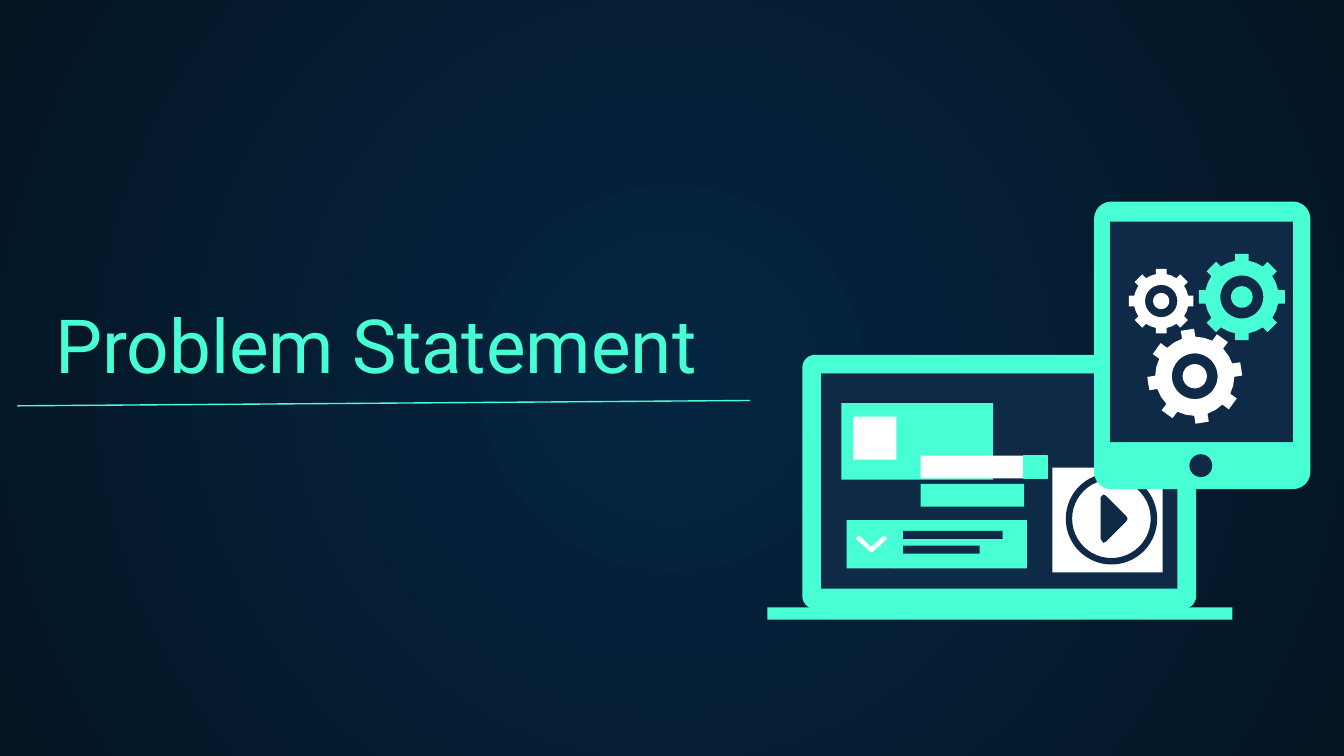
import math

import pptx
import pptx.dml.color
import pptx.enum.shapes
import pptx.enum.text
import pptx.oxml
import pptx.oxml.ns
import pptx.util

Inches = pptx.util.Inches
SHAPE = pptx.enum.shapes.MSO_SHAPE
MINT, NAVY, WHITE = "48FFD5", "0E2A47", "FFFFFF"


def color(value):
    return pptx.dml.color.RGBColor.from_string(value)


def ring(radius, steps=48):
    """Points of a circle around the origin; negative steps reverse the direction."""
    return [(radius * math.cos(2 * math.pi * i / steps),
             radius * math.sin(2 * math.pi * i / steps)) for i in range(abs(steps))]


class Slide:
    font = "Roboto"

    def __init__(self, deck):
        self.page = deck.slides.add_slide(deck.slide_layouts[5])

    def background(self, center, edge):
        fill = self.page.background.fill
        fill.gradient()
        for stop, value in zip(fill.gradient_stops, (center, edge)):
            stop.color.rgb = color(value)
        linear = self.page.element.find(".//" + pptx.oxml.ns.qn("a:lin"))
        radial = pptx.oxml.parse_xml(
            f'<a:path {pptx.oxml.ns.nsdecls("a")} path="circle">'
            '<a:fillToRect l="50000" t="50000" r="50000" b="50000"/></a:path>')
        linear.getparent().replace(linear, radial)

    def title(self, text, x, y, width, height, size):
        box = self.page.shapes.title
        box.left, box.top = Inches(x), Inches(y)
        box.width, box.height = Inches(width), Inches(height)
        frame = box.text_frame
        frame.text = text
        frame.word_wrap = True
        frame.auto_size = pptx.enum.text.MSO_AUTO_SIZE.NONE
        frame.vertical_anchor = pptx.enum.text.MSO_ANCHOR.BOTTOM
        frame.margin_left = frame.margin_right = Inches(0.1)
        frame.margin_top = frame.margin_bottom = Inches(0.1)
        para = frame.paragraphs[0]
        para.alignment = pptx.enum.text.PP_ALIGN.LEFT
        para.font.name, para.font.size = self.font, pptx.util.Pt(size)
        para.font.color.rgb = color(MINT)

    def line(self, x1, y1, x2, y2):
        rule = self.page.shapes.add_connector(
            pptx.enum.shapes.MSO_CONNECTOR.STRAIGHT,
            Inches(x1), Inches(y1), Inches(x2), Inches(y2))
        rule.line.color.rgb = color(MINT)
        rule.line.width = pptx.util.Pt(0.75)
        properties = rule.element.find(pptx.oxml.ns.qn("p:spPr"))
        properties.append(pptx.oxml.parse_xml(
            f'<a:effectLst {pptx.oxml.ns.nsdecls("a")}/>'))

    def paint(self, shape, fill):
        shape.shadow.inherit = False
        shape.fill.solid()
        shape.fill.fore_color.rgb = color(fill)
        shape.line.fill.background()
        return shape

    def shape(self, x, y, width, height, fill, kind=SHAPE.RECTANGLE, adjust=None):
        shape = self.page.shapes.add_shape(
            kind, Inches(x), Inches(y), Inches(width), Inches(height))
        if adjust is not None:
            shape.adjustments[0] = adjust
        return self.paint(shape, fill)

    def outline(self, contours, fill):
        """One freeform from closed contours; inner contours cut holes."""
        builder = None
        for contour in contours:
            points = [(Inches(x), Inches(y)) for x, y in contour]
            if builder is None:
                builder = self.page.shapes.build_freeform(*points[0])
            else:
                builder.move_to(*points[0])
            builder.add_line_segments(points[1:], close=True)
        return self.paint(builder.convert_to_shape(), fill)

    def gear(self, x, y, outer, root, half, hole, hub, fill, turn=0, teeth=8):
        rim = []
        step = 2 * math.pi / teeth
        for tooth in range(teeth):
            angle = math.radians(turn) + tooth * step
            cos, sin = math.cos(angle), math.sin(angle)
            for along, across in ((root, -half), (outer, -half), (outer, half), (root, half)):
                rim.append((along * cos - across * sin, along * sin + across * cos))
            gap, radius = angle + step / 2, math.hypot(root, half)
            rim.append((radius * math.cos(gap), radius * math.sin(gap)))
        contours = [rim, ring(hole, -48), ring(hub)]
        self.outline([[(x + dx, y + dy) for dx, dy in contour] for contour in contours], fill)


def main():
    deck = pptx.Presentation()
    # Widescreen, 16:9
    deck.slide_width, deck.slide_height = Inches(10), Inches(10) * 9 // 16
    slide = Slide(deck)
    slide.background("052643", "041523")

    # Title and rule
    slide.title("Problem Statement", 0.31, 1.54, 6.5, 1.45, 40)
    slide.line(0.13, 3.02, 5.58, 2.98)

    # Laptop body, screen and base
    slide.shape(5.97, 2.64, 2.93, 1.89, MINT, SHAPE.ROUNDED_RECTANGLE, 0.05)
    for panel in (
        (6.11, 2.78, 2.65, 1.6, NAVY),
        (5.71, 4.52, 3.46, 0.09, MINT),
        (6.11, 2.78, 2.65, 0.15, NAVY),
        # Picture card
        (6.26, 3, 1.13, 0.57, MINT),
        (6.35, 3.1, 0.32, 0.32, WHITE),
        # Message card with two text bars
        (6.65, 3.87, 0.99, 0.36, MINT),
        (6.72, 3.95, 0.74, 0.06, NAVY),
        (6.72, 4.06, 0.57, 0.06, NAVY),
        (6.3, 3.87, 0.36, 0.36, MINT),
        # Search fields
        (6.85, 3.6, 0.77, 0.17, MINT),
        (6.85, 3.39, 0.77, 0.17, WHITE),
    ):
        slide.shape(*panel)
    button = slide.shape(7.62, 3.39, 0.17, 0.17, MINT)
    button.line.color.rgb = color(MINT)
    button.line.width = pptx.util.Pt(0.75)

    # Check mark
    slide.outline([[(6.59, 3.99), (6.57, 3.99), (6.48, 4.07), (6.4, 3.99), (6.38, 3.99),
                    (6.37, 4.01), (6.47, 4.1), (6.49, 4.11), (6.5, 4.1), (6.6, 4.01)]], WHITE)

    # Video tile
    slide.shape(7.83, 3.48, 0.82, 0.78, WHITE)
    slide.shape(7.93, 3.52, 0.68, 0.68, NAVY, SHAPE.DONUT, 0.07)
    slide.outline([[(8.21, 3.68), (8.19, 3.7), (8.19, 4.01), (8.21, 4.04), (8.23, 4.03),
                    (8.38, 3.88), (8.39, 3.86), (8.38, 3.84), (8.23, 3.69)]], NAVY)

    # Tablet
    slide.shape(8.14, 1.5, 1.61, 2.14, MINT, SHAPE.ROUNDED_RECTANGLE, 0.08)
    slide.shape(8.26, 1.65, 1.36, 1.64, NAVY)
    slide.shape(8.85, 3.38, 0.17, 0.17, NAVY, SHAPE.OVAL)

    # Gears
    slide.gear(9.24, 2.21, 0.32, 0.27, 0.05, 0.16, 0.08, MINT)
    slide.gear(8.64, 2.24, 0.24, 0.2, 0.04, 0.12, 0.06, WHITE)
    slide.gear(8.89, 2.8, 0.35, 0.29, 0.05, 0.17, 0.09, WHITE, turn=-9)

    deck.save("out.pptx")


if __name__ == "__main__":
    main()
